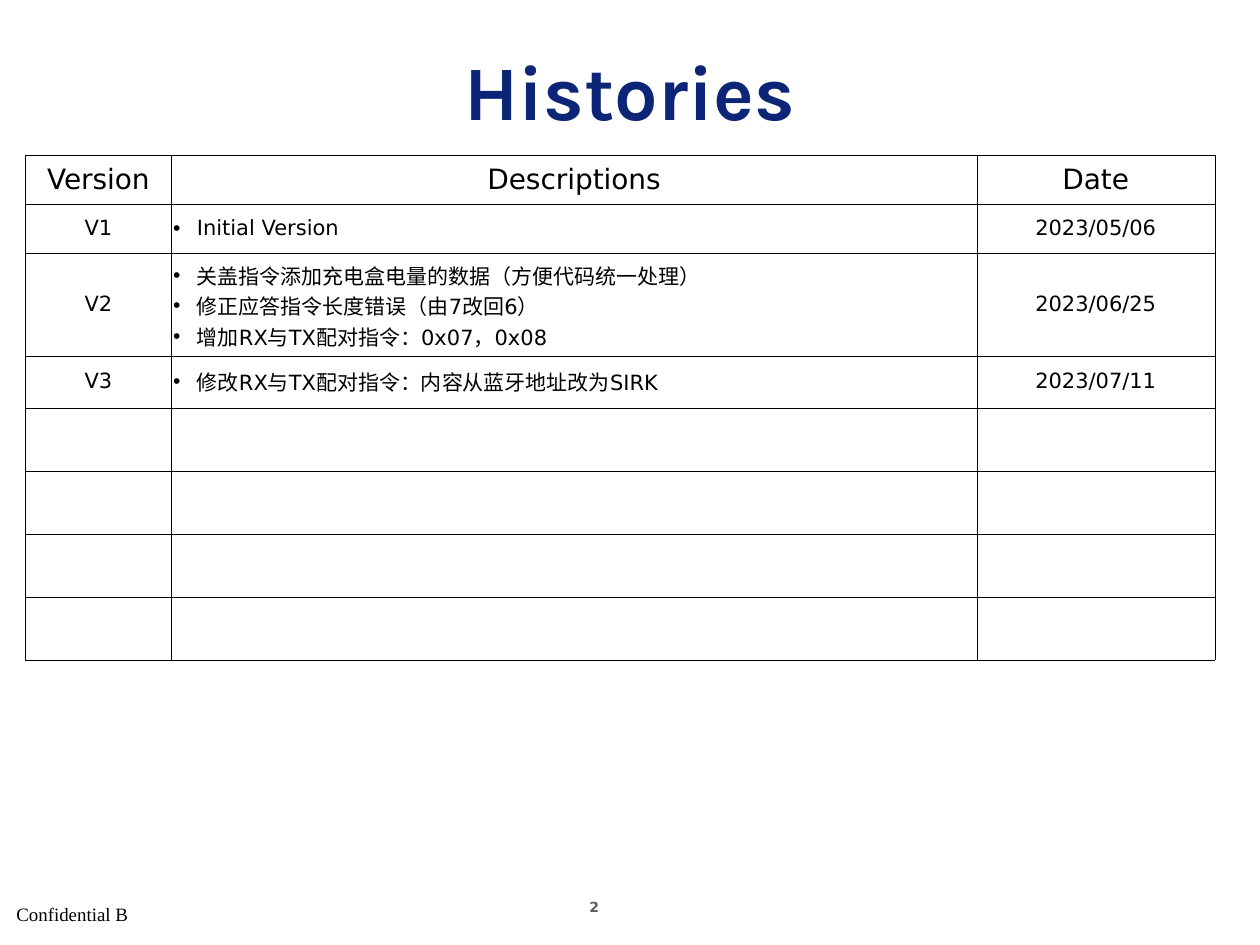
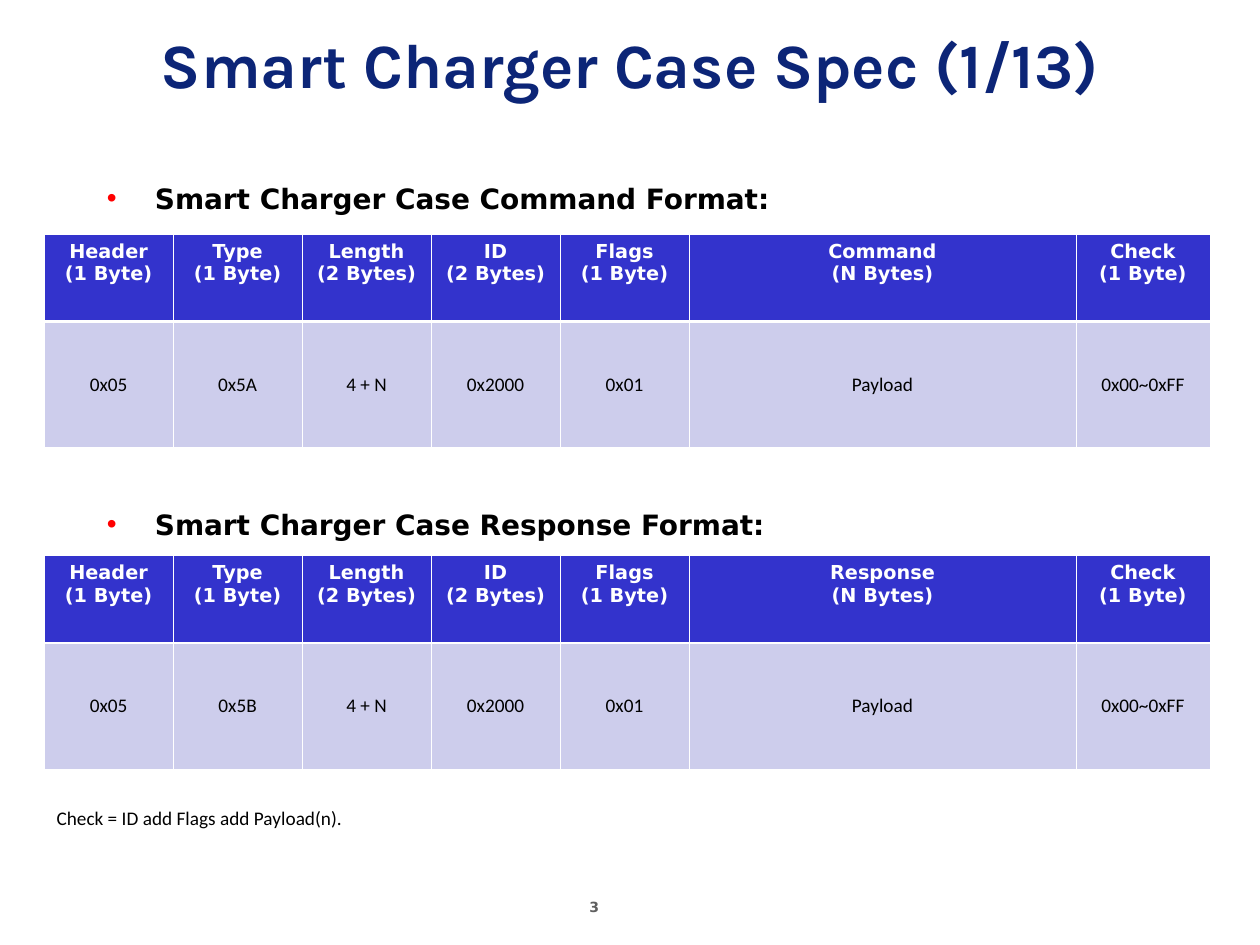
from lxml.etree import SubElement
from pptx import Presentation
from pptx.dml.color import RGBColor
from pptx.enum.text import MSO_ANCHOR, MSO_AUTO_SIZE, PP_ALIGN
from pptx.oxml.ns import qn
from pptx.util import Cm, Pt

COLORS = {
    "title": "0C2577", "ink": "000000", "page": "5F5F5F", "white": "FFFFFF",
    "head": "3333CC", "cell": "CDCDEC", "dot": "FF0000",
}
FONTS = {
    "title": {"name": "Karla", "size": Pt(44), "bold": True, "color": "title"},
    "long": {"name": "Karla", "size": Pt(36), "bold": True, "color": "title"},
    "page": {"name": "DejaVu Sans", "size": Pt(8), "bold": True, "color": "page"},
    "mark": {"name": "Times New Roman", "size": Pt(10.8), "bold": False, "color": "ink"},
    "list": {"name": "DejaVu Sans", "size": Pt(16), "bold": True, "color": "ink"},
    "top": {"name": "DejaVu Sans", "size": Pt(16), "bold": False, "color": "ink"},
    "entry": {"name": "DejaVu Sans", "size": Pt(12), "bold": False, "color": "ink"},
    "head": {"name": "DejaVu Sans", "size": Pt(11), "bold": True, "color": "white"},
    "field": {"name": "Calibri", "size": Pt(11), "bold": False, "color": "ink"},
}
TIGHT = {"margin_left": Cm(0.03), "margin_right": Cm(0.03),
         "vertical_anchor": MSO_ANCHOR.MIDDLE}
THIN, THICK = 0.45, 1.47

LOG = [
    ("Version", "Descriptions", "Date"),
    ("V1", "Initial Version", "2023/05/06"),
    ("V2", "关盖指令添加充电盒电量的数据（方便代码统一处理）\n"
           "修正应答指令长度错误（由7改回6）\n"
           "增加RX与TX配对指令：0x07，0x08", "2023/06/25"),
    ("V3", "修改RX与TX配对指令：内容从蓝牙地址改为SIRK", "2023/07/11"),
] + [("", "", "")] * 4


def put(item, values):
    for name, value in values.items():
        setattr(item, name, value)


def write(frame, text, font, align=PP_ALIGN.LEFT):
    """Fill a text frame, one paragraph to each line of text."""
    frame.text = text
    for para in frame.paragraphs:
        para.alignment = align
        for run in para.runs:
            values = dict(FONTS[font])
            run.font.color.rgb = RGBColor.from_string(COLORS[values.pop("color")])
            put(run.font, values)


def bullet(para, indent, color):
    props = para._p.get_or_add_pPr()
    props.set("marL", str(indent))
    props.set("indent", str(-indent))
    tint = SubElement(props, qn("a:buClr"))
    SubElement(tint, qn("a:srgbClr"), val=COLORS[color])
    SubElement(props, qn("a:buFont"), typeface="Arial")
    SubElement(props, qn("a:buChar"), char="•")


def place(shape, left, top, width, height):
    put(shape, {"left": Cm(left), "top": Cm(top),
                "width": Cm(width), "height": Cm(height)})


def label(slide, text, font, *box):
    frame = slide.shapes.add_textbox(*map(Cm, box)).text_frame
    frame.word_wrap = True
    write(frame, text, font)
    return frame


def start(deck, layout, title, font, top, page):
    """Add a slide with its title and page number."""
    slide = deck.slides.add_slide(deck.slide_layouts[layout])
    head = slide.shapes.title
    place(head, 0, top, 25.4, 2.54)
    write(head.text_frame, title, font, PP_ALIGN.CENTER)
    head.text_frame.auto_size = MSO_AUTO_SIZE.NONE
    label(slide, str(page), "page", 11.63, 17.98, 1.96, 0.66)
    return slide


def border(cell, color, sides):
    """Draw cell sides; sides maps L, R, T, B, in that order, to points."""
    props = cell._tc.get_or_add_tcPr()
    for side, width in sides.items():
        line = SubElement(props, qn(f"a:ln{side}"), w=str(Pt(width)))
        fill = SubElement(line, qn("a:solidFill"))
        SubElement(fill, qn("a:srgbClr"), val=COLORS[color])


def grid(slide, left, top, cols, rows):
    """Add a plain table with the given column widths and row heights."""
    frame = slide.shapes.add_table(len(rows), len(cols), Cm(left), Cm(top),
                                   Cm(sum(cols)), Cm(sum(rows)))
    table = frame.table
    put(table, {"first_row": False, "horz_banding": False})
    for col, width in zip(table.columns, cols):
        col.width = Cm(width)
    for row, height in zip(table.rows, rows):
        row.height = Cm(height)
    return table


def log_table(slide):
    table = grid(slide, 0.51, 3.12, [2.95, 16.23, 4.8],
                 [0.99, 1, 2.06, 1.05] + [1.27] * 4)
    for r, row in enumerate(LOG):
        for c, text in enumerate(row):
            cell = table.cell(r, c)
            put(cell, TIGHT)
            border(cell, "ink", dict.fromkeys("LRTB", 0.23))
            cell.fill.background()
            listed = r > 0 and c == 1
            write(cell.text_frame, text, "entry" if r else "top",
                  PP_ALIGN.LEFT if listed else PP_ALIGN.CENTER)
            if listed and text:
                for para in cell.text_frame.paragraphs:
                    bullet(para, Cm(0.48), "ink")


def frame_table(slide, top, kind, code):
    """Show the byte layout of one kind of message."""
    parts = [
        ("Header\n(1 Byte)", "0x05"), ("Type\n(1 Byte)", code),
        ("Length\n(2 Bytes)", "4 + N"), ("ID\n(2 Bytes)", "0x2000"),
        ("Flags\n(1 Byte)", "0x01"), (f"{kind}\n(N Bytes)", "Payload"),
        ("Check\n(1 Byte)", "0x00~0xFF"),
    ]
    table = grid(slide, 0.89, top, [2.6] * 5 + [7.8, 2.7], [1.76, 2.54])
    for c, pair in enumerate(parts):
        for r, text in enumerate(pair):
            cell = table.cell(r, c)
            border(cell, "white", {"L": THIN, "R": THIN,
                                   "T": THICK if r else THIN,
                                   "B": THIN if r else THICK})
            cell.fill.solid()
            cell.fill.fore_color.rgb = RGBColor.from_string(
                COLORS["cell" if r else "head"])
            write(cell.text_frame, text, "field" if r else "head", PP_ALIGN.CENTER)
            if r:
                put(cell, TIGHT)


def topics(slide, lines, gap):
    """Fill the body with bulleted lines, gap points apart."""
    body = slide.placeholders[1]
    place(body, 1.9, 3.53, 23.5, 13.13)
    frame = body.text_frame
    write(frame, "\n".join(lines), "list")
    frame.auto_size = MSO_AUTO_SIZE.NONE
    for i, para in enumerate(frame.paragraphs):
        bullet(para, Cm(0.97), "dot")
        para.space_before = Pt(gap if i else 0)


def main():
    deck = Presentation()
    put(deck, {"slide_width": Cm(25.4), "slide_height": Cm(19.05)})

    slide = start(deck, 5, "Histories", "title", 0.53, 2)
    mark = label(slide, "Confidential B", "mark", 0.08, 18.16, 8.43, 0.76)
    mark.paragraphs[0].line_spacing = 0.8
    log_table(slide)

    slide = start(deck, 1, "Smart Charger Case Spec (1/13)", "long", 0, 3)
    kinds = [("Command", "0x5A", 4.72), ("Response", "0x5B", 11.2)]
    topics(slide, [f"Smart Charger Case {kind} Format:" for kind, _, _ in kinds], 167)
    for kind, code, top in kinds:
        frame_table(slide, top, kind, code)
    label(slide, "Check = ID add Flags add Payload(n).", "field",
          0.89, 16.13, 8.61, 0.74)

    deck.save("out.pptx")


if __name__ == "__main__":
    main()
